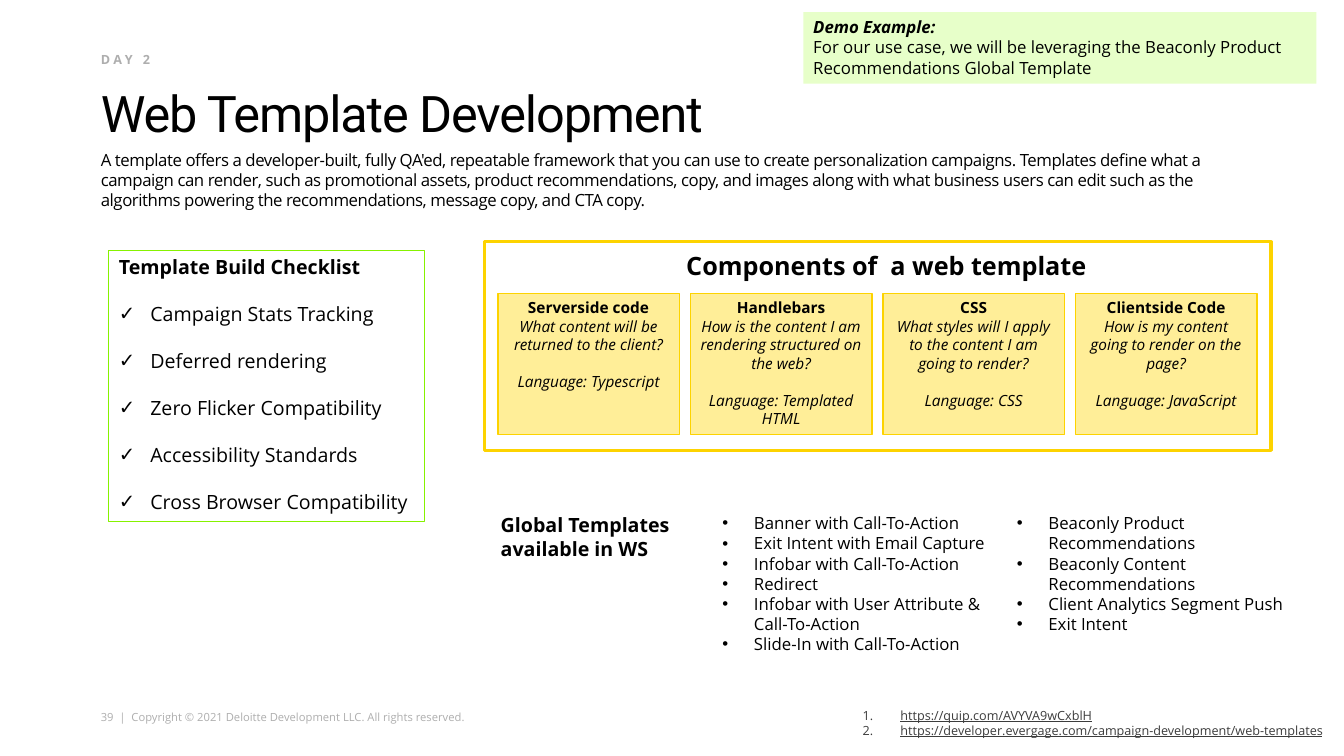
from lxml import etree
from pptx import Presentation
from pptx.dml.color import RGBColor
from pptx.enum.shapes import MSO_SHAPE
from pptx.enum.text import MSO_ANCHOR, PP_ALIGN
from pptx.oxml.ns import qn
from pptx.util import Pt

RECT = MSO_SHAPE.RECTANGLE
TOP, BOTTOM = MSO_ANCHOR.TOP, MSO_ANCHOR.BOTTOM
LEFT, CENTER = PP_ALIGN.LEFT, PP_ALIGN.CENTER

COLORS = {
    "black": "000000", "grey": "AEAEAE", "link": "3C3C3C",
    "gold": "FDD300", "cream": "FFEE98", "green": "86F200", "mint": "E7FFC9",
}
NO_INSETS = (0, 0, 0, 0)
BOX_INSETS = (7.2, 3.6, 7.2, 3.6)


class SlideBuilder:
    font_name = "Open Sans"

    def __init__(self, slide):
        self.slide = slide

    def color(self, name):
        return RGBColor.from_string(COLORS[name])

    def bullet(self, p, mark, indent):
        """Hang a character bullet, or a number when mark is '1.'."""
        pPr = p._p.get_or_add_pPr()
        pPr.set("marL", str(Pt(indent)))
        pPr.set("indent", str(-Pt(indent)))
        if mark == "1.":
            etree.SubElement(pPr, qn("a:buAutoNum"), type="arabicPeriod")
        else:
            etree.SubElement(pPr, qn("a:buFont"), typeface="Arial")
            etree.SubElement(pPr, qn("a:buChar"), char=mark)

    def add_lines(self, tf, lines, size, color="black", name=None, spacing=0,
                  mark=None, indent=22.5, align=LEFT, **fonts):
        """Fill a frame; each line is a string or a (text, overrides) pair."""
        for i, line in enumerate(lines):
            text, changes = (line, {}) if isinstance(line, str) else line
            fmt = {"mark": mark, **fonts, **changes}
            p = tf.paragraphs[0] if i == 0 else tf.add_paragraph()
            line_mark = fmt.pop("mark")
            if line_mark:
                self.bullet(p, line_mark, indent)
            p.alignment = align
            for key in ("line_spacing", "space_before"):
                if key in fmt:
                    setattr(p, key, fmt.pop(key))
            r = p.add_run()
            r.text = text
            fmt.update(name=name or self.font_name, size=Pt(size))
            for key, value in fmt.items():
                setattr(r.font, key, value)
            r.font.color.rgb = self.color(color)
            if spacing:
                r._r.get_or_add_rPr().set("spc", str(round(spacing * 100)))

    def frame(self, sp, insets, wrap=True, anchor=TOP):
        tf = sp.text_frame
        tf.word_wrap = wrap
        tf.vertical_anchor = anchor
        for side, value in zip(("left", "top", "right", "bottom"), insets):
            setattr(tf, f"margin_{side}", Pt(value))
        return tf

    def text(self, box, lines, size, insets=BOX_INSETS, wrap=True, anchor=TOP, **fmt):
        sp = self.slide.shapes.add_textbox(*map(Pt, box))
        self.add_lines(self.frame(sp, insets, wrap, anchor), lines, size, **fmt)

    def panel(self, box, fill=None, line=None, width=1, lines=(), size=12, **fmt):
        sp = self.slide.shapes.add_shape(RECT, *map(Pt, box))
        sp.shadow.inherit = False
        if fill:
            sp.fill.solid()
            sp.fill.fore_color.rgb = self.color(fill)
        else:
            sp.fill.background()
        if line:
            sp.line.color.rgb = self.color(line)
            sp.line.width = Pt(width)
        else:
            sp.line.fill.background()
        self.add_lines(self.frame(sp, BOX_INSETS), lines, size, **fmt)


CHECKLIST = [
    "Campaign Stats Tracking", "Deferred rendering", "Zero Flicker Compatibility",
    "Accessibility Standards", "Cross Browser Compatibility",
]
COMPONENTS = [
    ("Serverside code", "What content will be returned to the client?", "Typescript"),
    ("Handlebars", "How is the content I am rendering structured on the web?",
     "Templated HTML"),
    ("CSS", "What styles will I apply to the content I am going to render?", "CSS"),
    ("Clientside Code", "How is my content going to render on the page?", "JavaScript"),
]
TEMPLATES = [
    (509, 203.8, [
        "Banner with Call-To-Action", "Exit Intent with Email Capture",
        "Infobar with Call-To-Action", "Redirect",
        "Infobar with User Attribute & Call-To-Action",
        "Slide-In with Call-To-Action",
    ]),
    (719.3, 207.4, [
        "Beaconly Product Recommendations", "Beaconly Content Recommendations",
        "Client Analytics Segment Push", "Exit Intent",
    ]),
]


def main():
    prs = Presentation()
    prs.slide_width, prs.slide_height = Pt(960), Pt(540)
    s = SlideBuilder(prs.slides.add_slide(prs.slide_layouts[6]))

    s.text((72, 507.6, 263.5, 9.4),
           ["39  |  Copyright © 2021 Deloitte Development LLC. All rights reserved."],
           8, NO_INSETS, wrap=False, color="grey")
    s.text((72, 54.7, 816, 46.8), ["Web Template Development"], 36, (0, 3.6, 0, 0),
           anchor=BOTTOM, name="Roboto", spacing=-0.8, line_spacing=0.8)
    s.text((72, 106.6, 816, 37.4), [
        "A template offers a developer-built, fully QA'ed, repeatable framework that "
        "you can use to create personalization campaigns. Templates define what a "
        "campaign can render, such as promotional assets, product recommendations, "
        "copy, and images along with what business users can edit such as the "
        "algorithms powering the recommendations, message copy, and CTA copy.",
    ], 12, NO_INSETS, spacing=-0.3)
    s.text((72, 36.7, 264, 15.8), ["DAY 2"], 9, NO_INSETS,
           color="grey", bold=True, spacing=2.5)
    s.text((609.1, 501.8, 344.9, 28.8), [
        "https://quip.com/AVYVA9wCxblH",
        "https://developer.evergage.com/campaign-development/web-templates",
    ], 9, wrap=False, color="link", underline=True, mark="1.", indent=27)

    s.panel((346.3, 172.8, 561.6, 149), line="gold", width=2.25)
    for i, (title, question, language) in enumerate(COMPONENTS):
        s.panel((355.7 + i * 137.5, 209.5, 129.6, 100.8), "cream", "gold", lines=[
            (title, {"bold": True}),
            (question, {"italic": True}),
            (f"Language: {language}", {"italic": True, "space_before": Pt(13.2)}),
        ], size=11, align=CENTER)
    s.text((483.1, 175, 316.8, 28.8), ["Components of  a web template"], 18, bold=True)

    s.panel((573.8, 8.6, 366.5, 51.1), "mint", lines=[
        ("Demo Example:", {"bold": True, "italic": True}),
        "For our use case, we will be leveraging the Beaconly Product "
        "Recommendations Global Template",
    ])
    s.text((350.6, 362.9, 152.6, 41), ["Global Templates available in WS"], 14, bold=True)
    for left, width, names in TEMPLATES:
        s.text((left, 362.9, width, 108.7), names, 12, mark="•")

    heading = ("Template Build Checklist",
               {"bold": True, "mark": None, "line_spacing": 1.0})
    s.panel((77.8, 178.6, 225.4, 193.7), line="green", width=0.75,
            lines=[heading, *CHECKLIST], size=14, mark="✓", line_spacing=2.0)

    prs.save("out.pptx")


if __name__ == "__main__":
    main()
